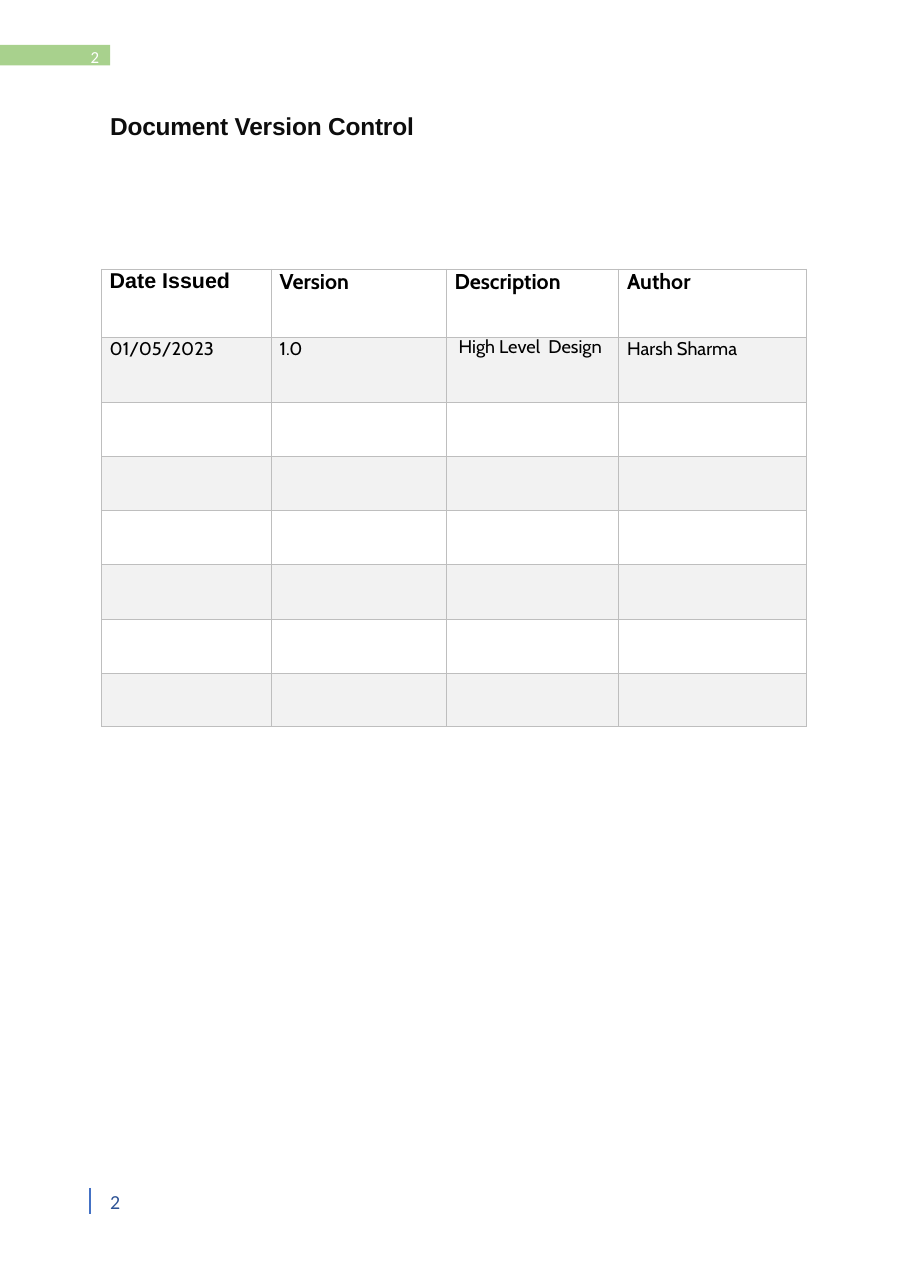
"""Build the document version control page."""
from lxml import etree
from pptx import Presentation
from pptx.dml.color import RGBColor
from pptx.enum import shapes, text
from pptx.oxml import ns
from pptx.util import Pt

HUES = {
    "green": "A8D18D", "bar": "4471C4", "page": "2E5395", "title": "0D0D0D",
    "ink": "000000", "white": "FFFFFF", "band": "F2F2F2", "grid": "BEBEBE",
}
HEADS = ["Date Issued", "Version", "Description", "Author"]
ENTRY = ["01/05/2023", "1.0", " High Level  Design", "Harsh Sharma"]
WIDTHS = [111, 114.4, 112.8, 122.4]
HEIGHTS = [44.6, 42.4, 35.4, 35.2, 35.4, 36, 35.2, 34.6]


def color(name):
    return RGBColor.from_string(HUES[name])


def style(para, size, font, hue, bold=False):
    for run in para.runs:
        run.font.size = Pt(size)
        run.font.name = font
        run.font.bold = bold
        run.font.color.rgb = color(hue)


def clear(frame):
    frame.margin_left = frame.margin_right = 0
    frame.margin_top = frame.margin_bottom = 0


def label(slide, words, box, size, font, hue, bold=False):
    frame = slide.shapes.add_textbox(*map(Pt, box)).text_frame
    clear(frame)
    frame.word_wrap = True
    frame.auto_size = text.MSO_AUTO_SIZE.NONE
    frame.text = words
    style(frame.paragraphs[0], size, font, hue, bold)
    return frame.paragraphs[0]


def block(slide, box, hue):
    shape = slide.shapes.add_shape(shapes.MSO_SHAPE.RECTANGLE, *map(Pt, box))
    shape.shadow.inherit = False
    shape.fill.solid()
    shape.fill.fore_color.rgb = color(hue)
    shape.line.fill.background()


def rule(slide, ends, hue, width):
    line = slide.shapes.add_connector(shapes.MSO_CONNECTOR.STRAIGHT, *map(Pt, ends))
    line.line.color.rgb = color(hue)
    line.line.width = Pt(width)
    etree.SubElement(line._element.spPr, ns.qn("a:effectLst"))


def border(cell, hue, width):
    props = cell._tc.get_or_add_tcPr()
    for spot, side in enumerate("LRTB"):
        edge = etree.Element(ns.qn(f"a:ln{side}"), w=str(Pt(width)))
        fill = etree.SubElement(edge, ns.qn("a:solidFill"))
        etree.SubElement(fill, ns.qn("a:srgbClr"), val=HUES[hue])
        props.insert(spot, edge)


def put(cell, words, size, font, bold):
    cell.text = words
    para = cell.text_frame.paragraphs[0]
    style(para, size, font, "ink", bold)
    return para


def grid(slide, left, top):
    frame = slide.shapes.add_table(len(HEIGHTS), len(WIDTHS), Pt(left), Pt(top),
                                   Pt(sum(WIDTHS)), Pt(sum(HEIGHTS)))
    table = frame.table
    table.first_row = table.horz_banding = False
    for col, width in zip(table.columns, WIDTHS):
        col.width = Pt(width)
    for index, (row, height) in enumerate(zip(table.rows, HEIGHTS)):
        row.height = Pt(height)
        for cell in row.cells:
            clear(cell)
            cell.margin_left = Pt(5.4)
            cell.fill.solid()
            cell.fill.fore_color.rgb = color("band" if index % 2 else "white")
            border(cell, "grid", 0.58)
    for col, (head, entry) in enumerate(zip(HEADS, ENTRY)):
        put(table.cell(0, col), head, 14, "Cabin" if col else "Arial", True)
        para = put(table.cell(1, col), entry, 12, "Cabin", False)
        if head == "Description":
            para.line_spacing = Pt(13.8)


def main():
    deck = Presentation()
    deck.slide_width, deck.slide_height = Pt(594.72), Pt(841.68)
    slide = deck.slides.add_slide(deck.slide_layouts[6])
    rule(slide, (58.9, 776.2, 58.9, 793.2), "bar", 1.54)
    block(slide, (0, 29.3, 72, 13.5), "green")
    label(slide, "2", (59.2, 30.4, 8, 13), 11, "Calibri", "white")
    label(slide, "2", (72, 777.6, 10, 15.2), 13, "Calibri", "page")
    title = label(slide, "Document Version Control", (72, 72.8, 206, 19.5),
                  16, "Arial", "title", True)
    title.runs[0].font._element.set("spc", "-10")
    grid(slide, 66.3, 175.9)
    deck.save("out.pptx")


if __name__ == "__main__":
    main()
